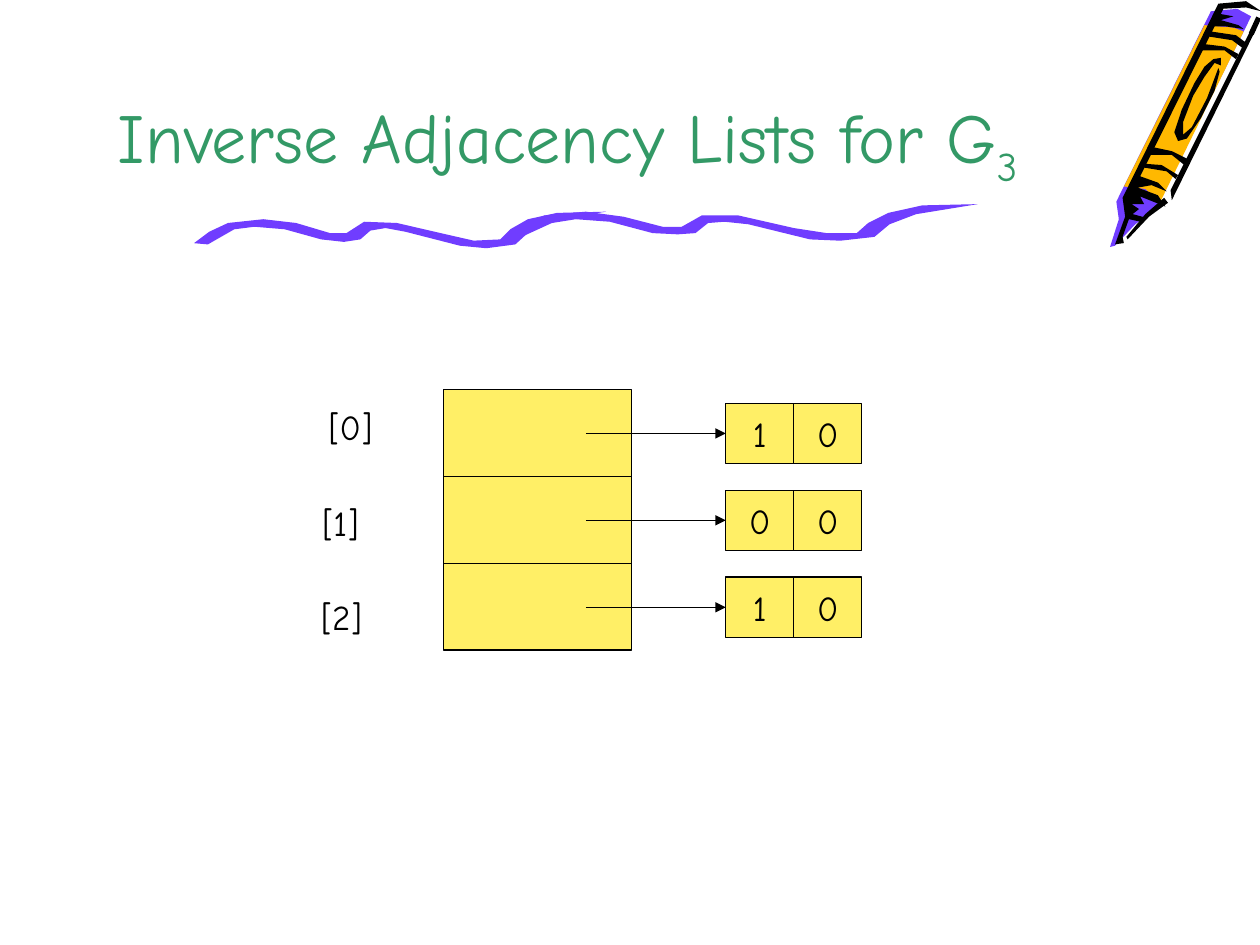
from dataclasses import dataclass

from lxml import etree
from pptx import Presentation
from pptx.dml.color import RGBColor
from pptx.enum import shapes, text
from pptx.oxml import ns
from pptx.util import Inches, Pt


@dataclass(frozen=True)
class Theme:
    font: str = "Comic Neue"
    title_size: int = 40
    body_size: int = 20
    green: RGBColor = RGBColor(0x33, 0x99, 0x66)
    purple: RGBColor = RGBColor(0x70, 0x3D, 0xFF)
    orange: RGBColor = RGBColor(0xFF, 0xB8, 0x00)
    yellow: RGBColor = RGBColor(0xFF, 0xEF, 0x66)
    black: RGBColor = RGBColor(0, 0, 0)


theme = Theme()

CRAYON = [
    (theme.purple, [(9.93, 0.13), (9.17, 1.66), (9.01, 1.78), (8.85, 1.95), (8.81, 1.96),
                    (8.88, 1.74), (8.86, 1.6), (9.61, 0.09), (9.82, 0.07)]),
    (theme.orange, [(9.21, 1.6), (9.09, 1.5), (8.92, 1.48), (9.56, 0.2), (9.79, 0.22),
                    (9.87, 0.25)]),
    (theme.black, [(9.27, 1.61), (9.12, 1.72), (8.95, 1.9), (8.94, 1.88), (9.09, 1.7),
                   (9.24, 1.57)]),
    (theme.black, [(9.87, 0.23), (9.73, 0.21), (9.61, 0.21), (9.68, 0.11), (9.79, 0.13),
                   (9.69, 0.16), (9.83, 0.2)]),
    (theme.black, [(9.68, 0.57), (9.64, 0.72), (9.53, 0.94), (9.42, 1.1), (9.35, 1.12),
                   (9.32, 1.05), (9.38, 0.87), (9.48, 0.66), (9.56, 0.53), (9.63, 0.47),
                   (9.69, 0.46), (9.69, 0.52), (9.64, 0.5), (9.56, 0.61), (9.47, 0.76),
                   (9.39, 0.97), (9.39, 1.07), (9.46, 1.01), (9.58, 0.78), (9.67, 0.54)]),
    (theme.black, [(9.97, 0.23), (9.3, 1.59), (9.29, 1.51), (9.93, 0.23)]),
    (theme.black, [(9.25, 1.64), (9.19, 1.55), (9.03, 1.49), (9.14, 1.47), (9.26, 1.52),
                   (9.19, 1.45), (9.05, 1.4), (9.71, 0.07), (9.89, 0.06), (10.01, 0.09),
                   (9.89, 0.01), (9.67, 0.03), (8.91, 1.57), (8.93, 1.72), (8.85, 1.94),
                   (8.92, 1.93), (8.91, 1.88), (8.96, 1.74), (9.05, 1.76), (9.1, 1.73),
                   (8.99, 1.7), (9.04, 1.66), (8.98, 1.62), (9.08, 1.62), (9.05, 1.56)]),
    (theme.black, [(9.33, 1.42), (9.26, 1.36), (9.08, 1.33), (9.09, 1.3), (9.22, 1.31),
                   (9.35, 1.39)]),
    (theme.black, [(9.4, 1.31), (9.3, 1.23), (9.13, 1.23), (9.16, 1.17), (9.3, 1.2),
                   (9.42, 1.26)]),
    (theme.black, [(9.81, 0.47), (9.72, 0.4), (9.53, 0.4), (9.56, 0.35), (9.72, 0.37),
                   (9.83, 0.43)]),
    (theme.black, [(9.86, 0.38), (9.78, 0.32), (9.59, 0.29), (9.61, 0.25), (9.81, 0.28),
                   (9.89, 0.34)]),
]
SQUIGGLE = [
    (theme.purple, [(1.65, 1.94), (1.86, 1.82), (2.02, 1.8), (2.26, 1.82), (2.55, 1.9),
                    (2.73, 1.92), (2.86, 1.9), (2.94, 1.83), (3.06, 1.81), (3.22, 1.84),
                    (3.65, 1.95), (3.86, 1.97), (4.09, 1.94), (4.2, 1.84), (4.38, 1.75),
                    (4.81, 1.68), (4.42, 1.69), (4.19, 1.74), (4.05, 1.82), (3.97, 1.9),
                    (3.76, 1.91), (3.54, 1.86), (3.15, 1.77), (2.89, 1.76), (2.75, 1.85),
                    (2.62, 1.85), (2.35, 1.77), (2.09, 1.74), (1.81, 1.77), (1.66, 1.84),
                    (1.54, 1.93)]),
    (theme.purple, [(4.14, 1.88), (4.38, 1.77), (4.57, 1.74), (4.84, 1.76), (5.18, 1.85),
                    (5.38, 1.86), (5.52, 1.85), (5.62, 1.77), (5.75, 1.76), (5.94, 1.78),
                    (6.43, 1.9), (6.67, 1.91), (6.94, 1.88), (7.06, 1.78), (7.27, 1.7),
                    (7.76, 1.62), (7.32, 1.63), (7.05, 1.69), (6.89, 1.77), (6.8, 1.85),
                    (6.56, 1.85), (6.3, 1.81), (5.86, 1.71), (5.57, 1.71), (5.41, 1.8),
                    (5.26, 1.8), (4.95, 1.72), (4.65, 1.68), (4.32, 1.71), (4.15, 1.78),
                    (4.01, 1.88)]),
]


def add_line(start, end, width):
    line = page.shapes.add_connector(shapes.MSO_CONNECTOR.STRAIGHT,
                                     *[Inches(length) for length in (*start, *end)])
    line.line.color.rgb = theme.black
    line.line.width = Pt(width)
    etree.SubElement(line._element.spPr, ns.qn("a:effectLst"))
    return line


def style_font(font, size, color):
    font.name = theme.font
    font.size = Pt(size)
    font.color.rgb = color


deck = Presentation()
deck.slide_width, deck.slide_height = Inches(10), Inches(7.5)
page = deck.slides.add_slide(deck.slide_layouts[6])

# Crayon and underline
for color, points in CRAYON + SQUIGGLE:
    corners = [(Inches(x), Inches(y)) for x, y in points]
    builder = page.shapes.build_freeform(*corners[0])
    builder.add_line_segments(corners[1:], close=True)
    outline = builder.convert_to_shape()
    outline.shadow.inherit = False
    outline.fill.solid()
    outline.fill.fore_color.rgb = color
    outline.line.fill.background()
add_line((9.99, 0.14), (9.93, 0.27), 3)

# Title
title = page.shapes.add_textbox(Inches(0.75), Inches(0), Inches(7.51), Inches(1.55))
title.text_frame.word_wrap = True
title.text_frame.vertical_anchor = text.MSO_ANCHOR.BOTTOM
para = title.text_frame.paragraphs[0]
para.alignment = text.PP_ALIGN.CENTER
for words in ("Inverse Adjacency Lists for G", "3"):
    span = para.add_run()
    span.text = words
    style_font(span.font, theme.title_size, theme.green)
span.font._element.set("baseline", "-25000")

# Lists: one row for each vertex
ROW_TOP, ROW_PITCH = 3.09, 0.69
NODE_LEFT, NODE_WIDTH, NODE_HEIGHT = 5.76, 0.54, 0.48
ROWS = [("[0]", 2.51, 3.17, "10"), ("[1]", 2.46, 3.93, "00"), ("[2]", 2.45, 4.68, "10")]

for row, (label, label_left, label_top, values) in enumerate(ROWS):
    top = ROW_TOP + row * ROW_PITCH
    node_top = top + 0.11
    cells = [(3.52, top, 1.49, ROW_PITCH, "")]
    for column, value in enumerate(values):
        cells.append((NODE_LEFT + column * NODE_WIDTH, node_top, NODE_WIDTH, NODE_HEIGHT, value))

    boxes = []
    for *place, value in cells:
        box = page.shapes.add_shape(shapes.MSO_SHAPE.RECTANGLE,
                                    *[Inches(length) for length in place])
        box.shadow.inherit = False
        box.fill.solid()
        box.fill.fore_color.rgb = theme.yellow
        box.line.color.rgb = theme.black
        box.line.width = Pt(0.75)
        if value:
            box.text_frame.text = value
            box.text_frame.word_wrap = False
            box.text_frame.vertical_anchor = text.MSO_ANCHOR.MIDDLE
            para = box.text_frame.paragraphs[0]
            para.alignment = text.PP_ALIGN.CENTER
            style_font(para.runs[0].font, theme.body_size, theme.black)
        boxes.append(box)

    middle = node_top + NODE_HEIGHT / 2
    arrow = add_line((4.65, middle), (NODE_LEFT, middle), 0.75)
    arrow.end_connect(boxes[1], 1)
    etree.SubElement(arrow.line._get_or_add_ln(), ns.qn("a:tailEnd"), type="triangle")

    index = page.shapes.add_textbox(Inches(label_left), Inches(label_top),
                                    Inches(0.65), Inches(0.44))
    index.text_frame.word_wrap = True
    index.text_frame.text = label
    style_font(index.text_frame.paragraphs[0].runs[0].font, theme.body_size, theme.black)

deck.save("out.pptx")
